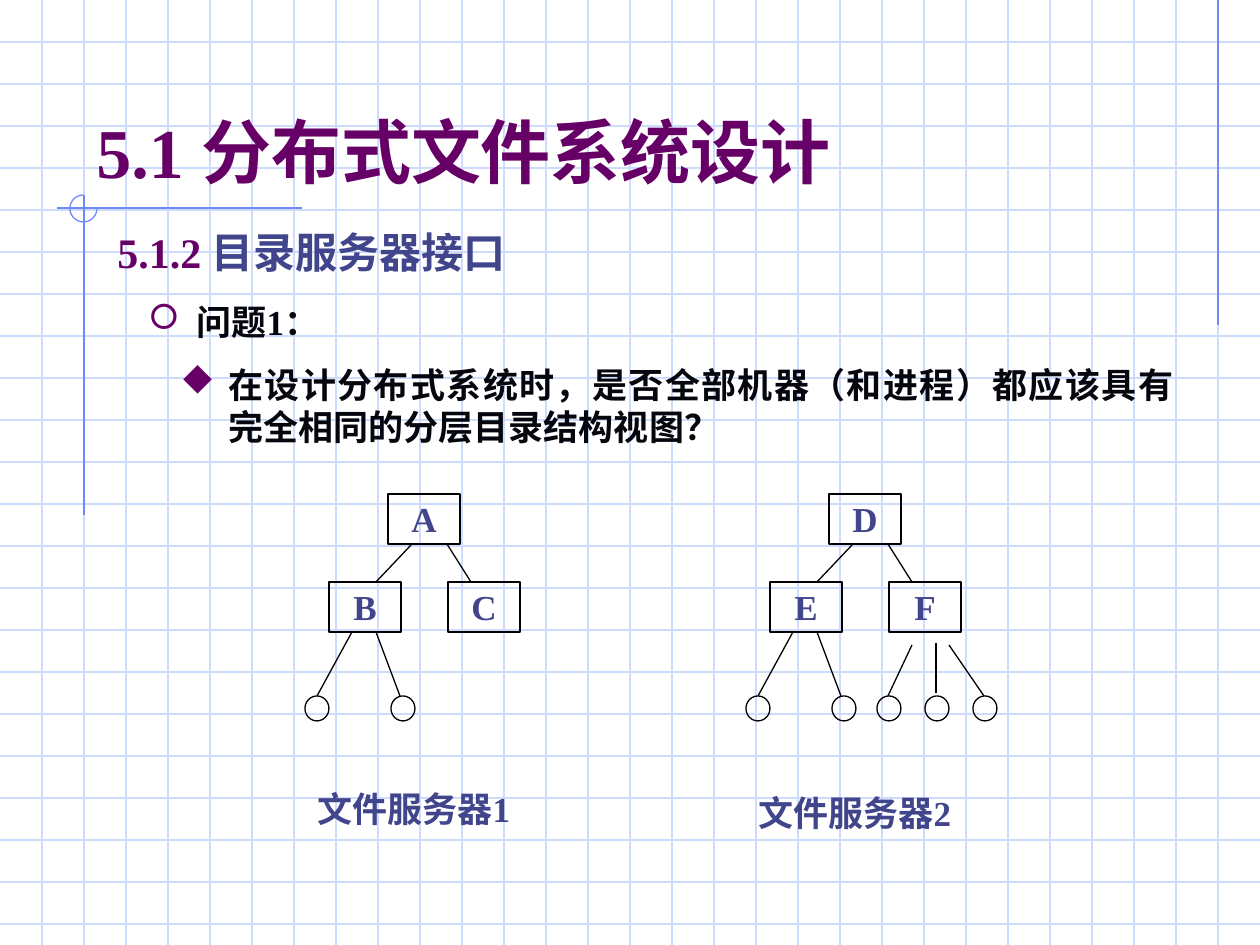
from math import cos, radians, sin

from lxml.etree import SubElement
from pptx import Presentation
from pptx.dml.color import RGBColor
from pptx.enum.shapes import MSO_CONNECTOR, MSO_SHAPE
from pptx.enum.text import MSO_ANCHOR as Anchor, PP_ALIGN as Align
from pptx.oxml.ns import qn
from pptx.util import Pt

PX = 914400 / 126
WIDTH, HEIGHT, PITCH = 1260, 945, 42

GRID = RGBColor(0xCF, 0xDB, 0xFD)
ACCENT = RGBColor(0x6F, 0x89, 0xF7)
PURPLE = RGBColor(0x66, 0x00, 0x66)
INDIGO = RGBColor(0x40, 0x45, 0x8C)
INK = RGBColor(0x06, 0x07, 0x0E)
BLACK = RGBColor(0, 0, 0)

SERIF, CJK, SANS = "Times New Roman", "Noto Sans CJK SC", "Montserrat"

# Bullets in the Wingdings symbol font: "¡" is a ring, "u" is a diamond
BULLET_FONT, RING, DIAMOND = "Wingdings", "¡", "u"

# Text: left, top, width, height, size, anchor, align, indent, bullet,
# runs (text, Latin font, East Asian font, colour)
TEXTS = [
    (84, 41, 1071, 158, 40, Anchor.BOTTOM, Align.LEFT, 0, None,
     [("5.1 ", SERIF, CJK, PURPLE), ("分布式文件系统设计", CJK, CJK, PURPLE)]),
    (105, 220, 1102, 271, 24, Anchor.TOP, Align.JUSTIFY, 48, None,
     [("5.1.2 ", SERIF, CJK, PURPLE), ("目录服务器接口", CJK, CJK, INDIGO)]),
    (136, 294, 1040, 55, 20, Anchor.TOP, Align.JUSTIFY, 48, RING,
     [("问题", SANS, SANS, INK), ("1", SERIF, SANS, INK), ("：", SANS, SANS, INK)]),
    (168, 357, 1018, 147, 20, Anchor.TOP, Align.JUSTIFY, 48, DIAMOND,
     [("在设计分布式系统时，是否全部机器（和进程）都应该具有完全相同的分层目录结构视图？",
       SANS, SANS, INK)]),
]

# Accent lines: x1, y1, x2, y2
ACCENTS = [(1218, 0, 1218, 325), (302, 208, 57, 208), (84, 195, 84, 515)]
ARC_CENTRE, ARC_RADIUS = (83.5, 208.5), 13.5

# Directory trees, with x measured from the left edge of each tree
NODE_SIZE, LEAF_SIZE, LEAF_TOP = (72, 50), (24, 25), 696
NODE_PLACES = [(83, 494), (24, 582), (143, 582)]
BRANCHES = [(107, 544, 71, 582), (142, 544, 166, 582),
            (47, 632, 12, 696), (71, 632, 95, 696)]
LEAVES = [0, 86]
EXTRA_BRANCHES = [(166, 645, 142, 696), (190, 643, 190, 693), (203, 645, 238, 696)]
EXTRA_LEAVES = [131, 179, 227]
# left, node names, branches, leaves, caption, caption top
SERVERS = [
    (305, "ABC", BRANCHES, LEAVES, "文件服务器1", 781),
    (746, "DEF", BRANCHES + EXTRA_BRANCHES, LEAVES + EXTRA_LEAVES, "文件服务器2", 785),
]


def emu(*lengths):
    return [round(length * PX) for length in lengths]


def add_line(shapes, ends, colour):
    line = shapes.add_connector(MSO_CONNECTOR.STRAIGHT, *emu(*ends))
    line.line.color.rgb = colour
    line.line.width = Pt(0.75)
    SubElement(line._element.spPr, qn("a:effectLst"))


def outline(shape, colour):
    shape.shadow.inherit = False
    shape.fill.background()
    shape.line.color.rgb = colour
    shape.line.width = Pt(0.75)


def write(shape, runs, size, align, indent=0, bullet=None):
    para = shape.text_frame.paragraphs[0]
    para.alignment = align
    props = para._p.get_or_add_pPr()
    if indent:
        props.set("marL", str(emu(indent)[0]))
        props.set("indent", str(emu(-indent)[0]))
    if bullet:
        colour = SubElement(props, qn("a:buClr"))
        SubElement(colour, qn("a:srgbClr"), val=str(PURPLE))
        SubElement(props, qn("a:buFont"), typeface=BULLET_FONT, pitchFamily="2", charset="2")
        SubElement(props, qn("a:buChar"), char=bullet)
    para.font.size = Pt(size)
    para.font.bold = True
    for text, latin, east_asian, colour in runs:
        span = para.add_run()
        span.text = text
        span.font.name = latin
        span.font.color.rgb = colour
        SubElement(span._r.get_or_add_rPr(), qn("a:ea"), typeface=east_asian)


def add_text(shapes, left, top, width, height, size, anchor, align, indent, bullet, runs):
    box = shapes.add_textbox(*emu(left, top, width, height))
    box.text_frame.word_wrap = True
    box.text_frame.vertical_anchor = anchor
    write(box, runs, size, align, indent, bullet)


def add_background(shapes):
    for y in range(PITCH, HEIGHT, PITCH):
        add_line(shapes, (0, y, WIDTH, y), GRID)
    for x in range(PITCH, WIDTH, PITCH):
        add_line(shapes, (x, 0, x, HEIGHT), GRID)
    for ends in ACCENTS:
        add_line(shapes, ends, ACCENT)
    # Three-quarter circle, from the top round the left to the right
    x, y = ARC_CENTRE
    points = [(x + ARC_RADIUS * cos(radians(a)), y - ARC_RADIUS * sin(radians(a)))
              for a in range(90, 361, 10)]
    points = [emu(*point) for point in points]
    builder = shapes.build_freeform(*points[0])
    builder.add_line_segments(points[1:], close=False)
    outline(builder.convert_to_shape(), ACCENT)


def add_server(shapes, left, names, branches, leaves, caption, caption_top):
    for name, (x, y) in zip(names, NODE_PLACES):
        node = shapes.add_shape(MSO_SHAPE.RECTANGLE, *emu(left + x, y, *NODE_SIZE))
        outline(node, BLACK)
        node.text_frame.word_wrap = False
        node.text_frame.vertical_anchor = Anchor.MIDDLE
        write(node, [(name, SERIF, SANS, INDIGO)], 20, Align.CENTER)
    for x1, y1, x2, y2 in branches:
        add_line(shapes, (left + x1, y1, left + x2, y2), BLACK)
    for x in leaves:
        leaf = shapes.add_shape(MSO_SHAPE.OVAL, *emu(left + x, LEAF_TOP, *LEAF_SIZE))
        outline(leaf, BLACK)
    add_text(shapes, left, caption_top, 262, 55, 20, Anchor.TOP, Align.LEFT, 48, None,
             [(caption, SERIF, SANS, INDIGO)])


def main():
    deck = Presentation()
    deck.slide_width, deck.slide_height = emu(WIDTH, HEIGHT)
    page = deck.slides.add_slide(deck.slide_layouts[6])
    add_background(page.shapes)
    for text in TEXTS:
        add_text(page.shapes, *text)
    for server in SERVERS:
        add_server(page.shapes, *server)
    deck.save("out.pptx")


if __name__ == "__main__":
    main()
